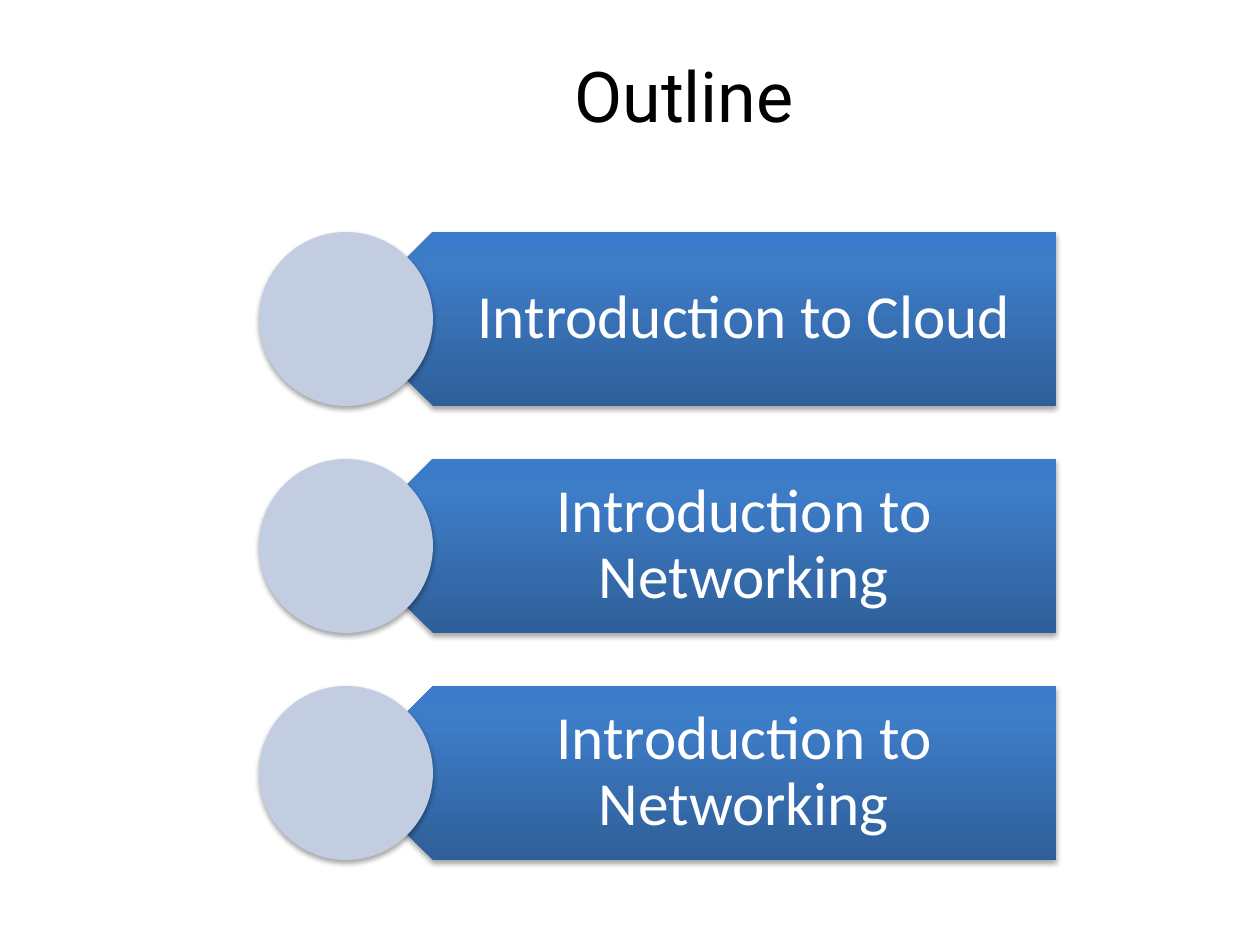
from lxml import etree
from pptx import Presentation
from pptx.dml.color import RGBColor
from pptx.enum import shapes, text
from pptx.oxml import parse_xml
from pptx.oxml.ns import nsdecls
from pptx.util import Emu, Pt

PX = 914400 / 126
COLORS = {"title": "000000", "label": "FFFFFF", "disc": "C2CDE1", "shadow": "000000",
          "bar_low": "2F5F99", "bar_mid": "3D7CC7", "bar_high": "3A7CCB"}
TOPICS = ["Introduction to Cloud", "Introduction to Networking", "Introduction to Networking"]


def px(n):
    return Emu(round(n * PX))


def box(left, top, width, height):
    return [px(n) for n in (left, top, width, height)]


def write(frame, wording, font, size, color):
    frame.word_wrap = True
    frame.vertical_anchor = text.MSO_ANCHOR.MIDDLE
    paragraph = frame.paragraphs[0]
    paragraph.alignment = text.PP_ALIGN.CENTER
    run = paragraph.add_run()
    run.text = wording
    run.font.name = font
    run.font.size = Pt(size)
    run.font.color.rgb = RGBColor.from_string(COLORS[color])
    return paragraph


def add_shadow(shape):
    shape.shadow.inherit = False
    effects = shape._element.spPr.find("{*}effectLst")
    effects.append(parse_xml(
        f'<a:outerShdw {nsdecls("a")} blurRad="{Pt(3.1)}" dist="{Pt(1.8)}" dir="5400000" '
        f'rotWithShape="0"><a:srgbClr val="{COLORS["shadow"]}"><a:alpha val="35000"/>'
        '</a:srgbClr></a:outerShdw>'))


def fill_upward(shape):
    """Vertical gradient, dark at the bottom, that does not turn with the shape."""
    shape.fill.gradient()
    gradient = shape._element.spPr.find("{*}gradFill")
    gradient.set("rotWithShape", "0")
    stops = gradient.find("{*}gsLst")
    for stop in list(stops):
        stops.remove(stop)
    for percent, name in ((0, "bar_low"), (80, "bar_mid"), (100, "bar_high")):
        stops.append(parse_xml(
            f'<a:gs {nsdecls("a")} pos="{percent * 1000}">'
            f'<a:srgbClr val="{COLORS[name]}"/></a:gs>'))
    direction = gradient.find("{*}lin")
    direction.set("ang", "16200000")
    direction.set("scaled", "0")


def add_title(slide, left, top, width, height):
    title = slide.shapes.title
    title.left, title.top, title.width, title.height = box(left, top, width, height)
    write(title.text_frame, "Outline", "Roboto", 40, "title")


def add_topic(slide, topic, left, top, width, height):
    radius = height // 2

    # Bar pointing left, starting at the middle of the disc
    bar = slide.shapes.add_shape(shapes.MSO_SHAPE.PENTAGON,
                                 *box(left + radius, top, width - radius, height))
    bar.rotation = 180
    bar.line.fill.background()
    fill_upward(bar)
    add_shadow(bar)

    # Label over the bar
    inset = left + radius + 43
    label = slide.shapes.add_textbox(*box(inset, top, left + width - inset, height))
    frame = label.text_frame
    frame.margin_left, frame.margin_top, frame.margin_right, frame.margin_bottom = box(
        77, 19, 34, 19)
    write(frame, topic, "Calibri", 35, "label").line_spacing = 0.9

    # Disc over the tip
    disc = slide.shapes.add_shape(shapes.MSO_SHAPE.OVAL, *box(left, top, height, height))
    disc.fill.solid()
    disc.fill.fore_color.rgb = RGBColor.from_string(COLORS["disc"])
    disc.line.fill.background()
    add_shadow(disc)


def add_outline(slide, left, top, width, row_height, pitch):
    for row, topic in enumerate(TOPICS):
        add_topic(slide, topic, left, top + row * pitch, width, row_height)


def main():
    deck = Presentation()
    deck.slide_width, deck.slide_height = px(1260), px(945)
    slide = deck.slides.add_slide(deck.slide_layouts[5])
    add_title(slide, 168, 32, 1032, 126)
    add_outline(slide, 259, 232, 797, 174, 227)
    deck.save("out.pptx")


if __name__ == "__main__":
    main()
